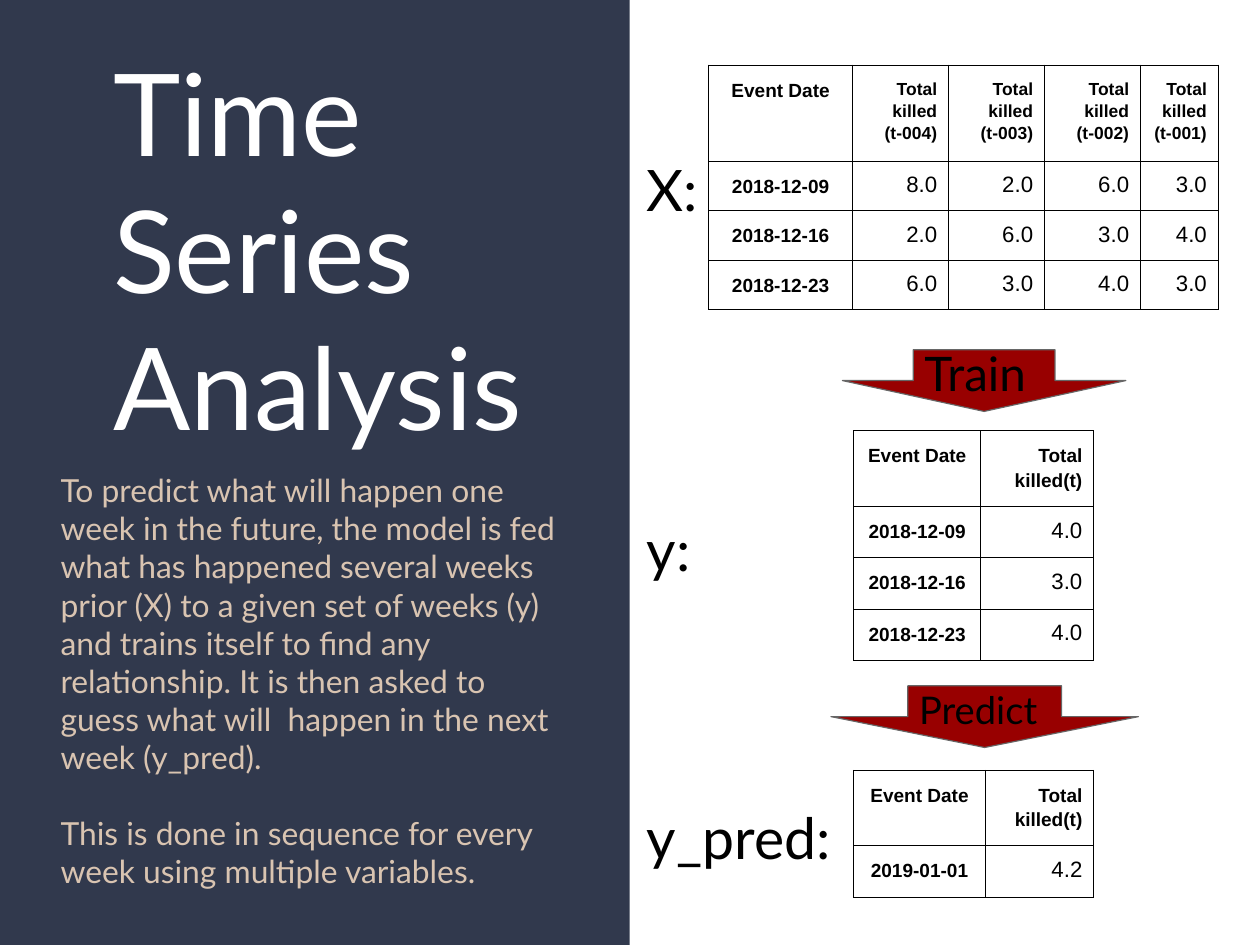
from lxml.etree import SubElement
from pptx import Presentation
from pptx.dml.color import RGBColor
from pptx.enum.shapes import MSO_SHAPE
from pptx.enum.text import MSO_ANCHOR, PP_ALIGN
from pptx.oxml.ns import qn
from pptx.util import Inches, Pt

NAVY, SAND, RED, GREY = "31394D", "D9C4B1", "980000", "666666"
WHITE, BLACK = "FFFFFF", "000000"
CM_PER_INCH = 2.54
TABLE_FRAME = 3.28


def color(value):
    return RGBColor.from_string(value)


def set_insets(frame, inset):
    frame.margin_left = frame.margin_right = Inches(inset)
    frame.margin_top = frame.margin_bottom = Inches(inset)


def write(frame, lines, size, ink=BLACK, font="Lato", bold=False,
          align=PP_ALIGN.LEFT, spacing=None, gap=0):
    """Fill a text frame with one paragraph per line."""
    for i, line in enumerate(lines):
        paragraph = frame.add_paragraph() if i else frame.paragraphs[0]
        paragraph.alignment = align
        paragraph.line_spacing = spacing
        paragraph.space_before = Pt(gap if i else 0)
        run = paragraph.add_run()
        run.text = line
        run.font.size = Pt(size)
        run.font.name = font
        run.font.bold = bold
        run.font.color.rgb = color(ink)


def add_text(slide, left, top, width, height, lines, size, ink=BLACK, inset=0.1, gap=0):
    box = slide.shapes.add_textbox(Inches(left), Inches(top), Inches(width), Inches(height))
    box.text_frame.word_wrap = True
    set_insets(box.text_frame, inset)
    write(box.text_frame, lines, size, ink, gap=gap)


def add_filled(slide, kind, left, top, width, height, fill):
    shape = slide.shapes.add_shape(kind, Inches(left), Inches(top), Inches(width), Inches(height))
    shape.shadow.inherit = False
    shape.fill.solid()
    shape.fill.fore_color.rgb = color(fill)
    shape.line.fill.background()
    return shape


def add_step_arrow(slide, left, top, width, label, size):
    arrow = add_filled(slide, MSO_SHAPE.DOWN_ARROW, left, top, width, 0.54, RED)
    arrow.line.color.rgb = color(GREY)
    arrow.line.width = Pt(0.75)
    arrow.text_frame.word_wrap = True
    arrow.text_frame.vertical_anchor = MSO_ANCHOR.MIDDLE
    set_insets(arrow.text_frame, 0.1)
    write(arrow.text_frame, [label], size)


def add_borders(cell):
    properties = cell._tc.get_or_add_tcPr()
    for side in ("a:lnL", "a:lnR", "a:lnT", "a:lnB"):
        border = SubElement(properties, qn(side), w=str(Pt(0.75)))
        SubElement(SubElement(border, qn("a:solidFill")), qn("a:srgbClr"), val=BLACK)


def add_data_table(slide, left, top, widths, heights, rows, total_size=12):
    """Header row and date column are bold; the remaining cells hold values."""
    frame = slide.shapes.add_table(
        len(rows), len(widths), Inches(left), Inches(top),
        Inches(TABLE_FRAME), Inches(TABLE_FRAME))
    table = frame.table
    table.first_row = table.horz_banding = False
    for column, width in zip(table.columns, widths):
        column.width = Inches(width)
    for row, height in zip(table.rows, heights):
        row.height = Inches(height)
    # Column and row sizes alter the frame, so its size is set last
    frame.width = frame.height = Inches(TABLE_FRAME)

    for r, row in enumerate(rows):
        for c, content in enumerate(row):
            cell = table.cell(r, c)
            set_insets(cell, 0.1)
            add_borders(cell)
            cell.fill.background()
            is_label = r == 0 or c == 0
            size = 12 if c == 0 else total_size if r == 0 else 14
            write(cell.text_frame, content.split("\n"), size, font="Arial", bold=is_label,
                  align=PP_ALIGN.RIGHT if c else PP_ALIGN.CENTER,
                  spacing=1.15 if is_label else None)


def main():
    # Slide of 28 by 21 cm
    deck = Presentation()
    deck.slide_width = Inches(28 / CM_PER_INCH)
    deck.slide_height = Inches(21 / CM_PER_INCH)
    slide = deck.slides.add_slide(deck.slide_layouts[6])

    # Left panel: title and explanation
    add_filled(slide, MSO_SHAPE.RECTANGLE, 0, 0, 5.51, 8.27, NAVY)
    add_text(slide, 0.87, 0.25, 4.47, 3.66, ["Time Series", "Analysis"], 72, WHITE, inset=0.12)
    explanation = [
        "To predict what will happen one week in the future, the model is fed what has "
        "happened several weeks prior (X) to a given set of weeks (y) and trains itself "
        "to find any relationship. It is then asked to guess what will  happen in the "
        "next week (y_pred).",
        "This is done in sequence for every week using multiple variables.",
    ]
    add_text(slide, 0.41, 4, 4.66, 4.15, explanation, 20, SAND, inset=0.12, gap=24)

    # X: totals of the four preceding weeks
    add_data_table(slide, 6.2, 0.57, [1.26, 0.84, 0.84, 0.84, 0.68], [0.84] + [0.42] * 3, [
        ["Event Date", "Total killed (t-004)", "Total killed (t-003)",
         "Total killed\n(t-002)", "Total killed\n(t-001)"],
        ["2018-12-09", "8.0", "2.0", "6.0", "3.0"],
        ["2018-12-16", "2.0", "6.0", "3.0", "4.0"],
        ["2018-12-23", "6.0", "3.0", "4.0", "3.0"],
    ], total_size=11)

    # y: totals of the given weeks
    header = ["Event Date", "Total killed(t)"]
    add_data_table(slide, 7.47, 3.77, [1.11, 0.99], [0.65] + [0.45] * 3, [
        header, ["2018-12-09", "4.0"], ["2018-12-16", "3.0"], ["2018-12-23", "4.0"]])

    # y_pred: forecast for the next week
    add_data_table(slide, 7.47, 6.74, [1.15, 0.95], [0.65, 0.45], [
        header, ["2019-01-01", "4.2"]])

    # Labels of the three data sets
    for label, top, width in (("X:", 1.25, 0.79), ("y:", 4.4, 0.79), ("y_pred:", 6.92, 1.98)):
        add_text(slide, 5.56, top, width, 0.76, [label], 36)

    # Steps between the tables
    add_step_arrow(slide, 7.37, 3.06, 2.48, "Train", 30)
    add_step_arrow(slide, 7.27, 6, 2.69, "Predict", 24)

    deck.save("out.pptx")


if __name__ == "__main__":
    main()
